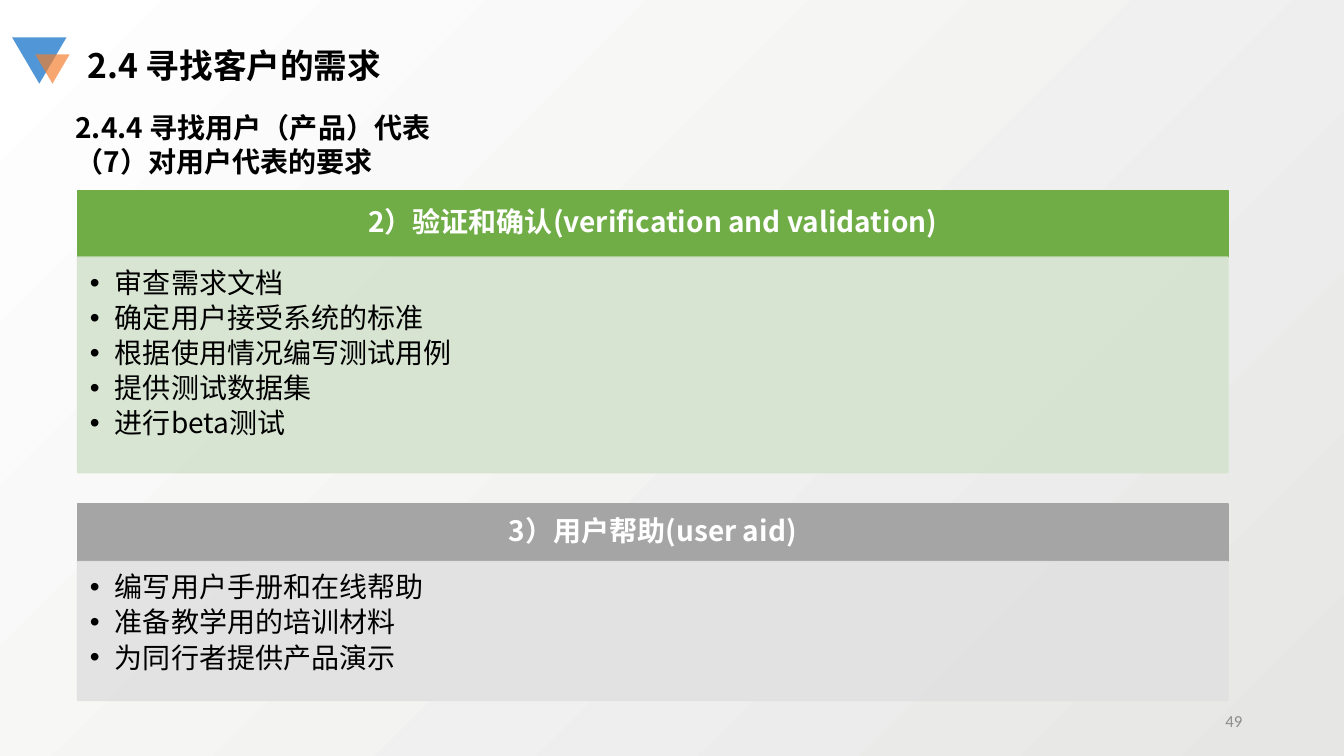
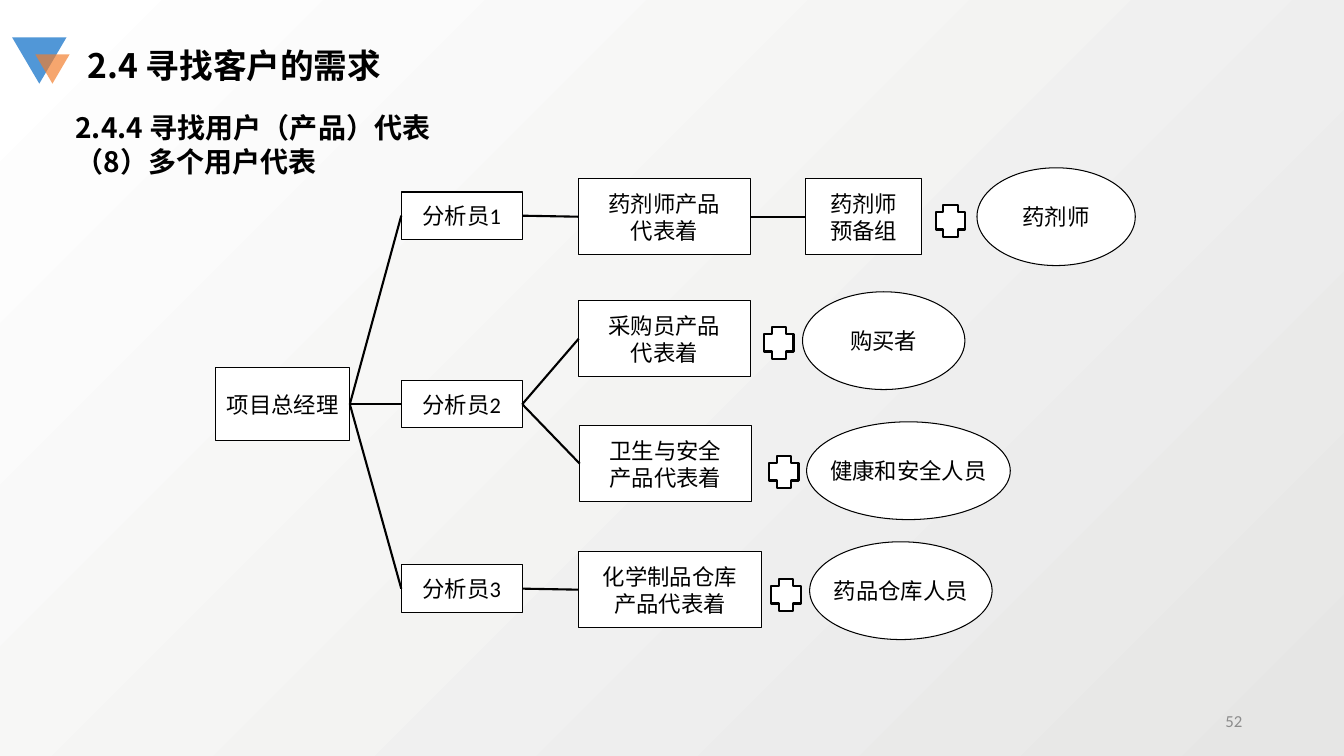
import dataclasses

import pptx
import pptx.dml.color
import pptx.enum.shapes
import pptx.enum.text
import pptx.oxml.ns
import pptx.util
from lxml import etree

Inches, Pt = pptx.util.Inches, pptx.util.Pt
SHAPE = pptx.enum.shapes.MSO_SHAPE
ALIGN = pptx.enum.text.PP_ALIGN
ANCHOR = pptx.enum.text.MSO_ANCHOR
qn = pptx.oxml.ns.qn


@dataclasses.dataclass(frozen=True)
class Theme:
    black: str = "000000"
    white: str = "FFFFFF"
    shade: str = "E6E6E5"
    number: str = "8C8C8C"
    blue: str = "5197D7"
    orange: str = "F37D2A"
    green: str = "70AD47"
    pale_green: str = "D5E3CF"
    gray: str = "A5A5A5"
    pale_gray: str = "E1E1E1"
    font: str = "Noto Sans CJK SC"
    node_font: str = "Calibri"
    title_size: int = 24
    body_size: int = 20
    node_size: int = 16
    number_size: int = 12


T = Theme()

TITLE = "2.4 寻找客户的需求"
SECTION = "2.4.4 寻找用户（产品）代表"

PANEL_LEFT, PANEL_WIDTH = 0.77, 11.41
PANELS = [
    dict(heading="2）验证和确认(verification and validation)",
         items=["审查需求文档", "确定用户接受系统的标准", "根据使用情况编写测试用例",
                "提供测试数据集", "进行beta测试"],
         top=1.89, head=0.66, body=2.14, dark=T.green, pale=T.pale_green),
    dict(heading="3）用户帮助(user aid)",
         items=["编写用户手册和在线帮助", "准备教学用的培训材料", "为同行者提供产品演示"],
         top=5, head=0.57, body=1.38, dark=T.gray, pale=T.pale_gray),
]

KINDS = {
    "manager": (SHAPE.RECTANGLE, 0.72),
    "analyst": (SHAPE.RECTANGLE, 0.47),
    "rep": (SHAPE.RECTANGLE, 0.76),
    "user": (SHAPE.OVAL, 0.97),
}
NODES = {
    "manager": ("manager", 2.14, 4.01, 1.33, ["项目总经理"]),
    "analyst1": ("analyst", 3.98, 2.14, 1.2, ["分析员1"]),
    "analyst2": ("analyst", 3.98, 4.01, 1.2, ["分析员2"]),
    "analyst3": ("analyst", 3.98, 5.84, 1.2, ["分析员3"]),
    "pharmacy": ("rep", 5.74, 2.15, 1.7, ["药剂师产品", "代表着"]),
    "buying": ("rep", 5.74, 3.36, 1.7, ["采购员产品", "代表着"]),
    "safety": ("rep", 5.75, 4.6, 1.7, ["卫生与安全", "产品代表着"]),
    "store": ("rep", 5.74, 5.85, 1.81, ["化学制品仓库", "产品代表着"]),
    "reserve": ("rep", 7.99, 2.15, 1.15, ["药剂师", "预备组"]),
    "pharmacist": ("user", 9.69, 2.15, 1.57, ["药剂师"]),
    "buyer": ("user", 7.96, 3.38, 1.61, ["购买者"]),
    "safety staff": ("user", 8, 4.67, 2.02, ["健康和安全人员"]),
    "store staff": ("user", 8.03, 5.86, 1.81, ["药品仓库人员"]),
}
LINKS = [
    ("manager", "analyst1"), ("manager", "analyst2"), ("manager", "analyst3"),
    ("analyst1", "pharmacy"), ("analyst2", "buying"), ("analyst2", "safety"),
    ("analyst3", "store"), ("pharmacy", "reserve"),
]
PLUS_SIGNS = [(9.28, 2.03), (7.58, 3.24), (7.63, 4.52), (7.65, 5.74)]


def rgb(color):
    return pptx.dml.color.RGBColor.from_string(color)


def write(tf, lines, size=T.body_size, color=T.black, font=T.font, bold=False,
          align=ALIGN.LEFT, anchor=ANCHOR.TOP, wrap=True, insets=None,
          bullet=False, spacing=None, after=None):
    tf.word_wrap = wrap
    tf.auto_size = pptx.enum.text.MSO_AUTO_SIZE.NONE
    tf.vertical_anchor = anchor
    if insets:
        tf.margin_left, tf.margin_top, tf.margin_right, tf.margin_bottom = map(Inches, insets)
    for i, line in enumerate(lines):
        p = tf.add_paragraph() if i else tf.paragraphs[0]
        p.alignment = align
        if bullet:
            pPr = p._p.get_or_add_pPr()
            pPr.set("marL", str(Inches(0.25)))
            pPr.set("indent", str(Inches(-0.25)))
            etree.SubElement(pPr, qn("a:buFont"), typeface="Arial")
            etree.SubElement(pPr, qn("a:buChar"), char="•")
        if spacing:
            p.line_spacing = spacing
        if after:
            p.space_after = Pt(after)
        r = p.add_run()
        r.text = line
        r.font.size, r.font.bold = Pt(size), bold
        r.font.color.rgb = rgb(color)
        r.font.name = font
        etree.SubElement(r._r.get_or_add_rPr(), qn("a:ea"), typeface=T.font)


def add_text(s, box, lines, **style):
    tb = s.shapes.add_textbox(*map(Inches, box))
    write(tb.text_frame, lines, **style)


def add_shape(s, kind, box, fill, line=None, width=1, alpha=None):
    sp = s.shapes.add_shape(kind, *map(Inches, box))
    sp.shadow.inherit = False
    sp.fill.solid()
    sp.fill.fore_color.rgb = rgb(fill)
    if line:
        sp.line.color.rgb = rgb(line)
        sp.line.width = Pt(width)
    else:
        sp.line.fill.background()
    if alpha:
        for clr in sp._element.spPr.iter(qn("a:srgbClr")):
            etree.SubElement(clr, qn("a:alpha"), val=str(alpha * 1000))
    return sp


def add_link(s, start, end):
    c = s.shapes.add_connector(pptx.enum.shapes.MSO_CONNECTOR.STRAIGHT, 0, 0, 0, 0)
    c.begin_connect(start, 3)
    c.end_connect(end, 1)
    c.line.color.rgb = rgb(T.black)
    c.line.width = Pt(1.5)
    etree.SubElement(c._element.spPr, qn("a:effectLst"))


def set_background(master):
    fill = master.background.fill
    fill.gradient()
    fill.gradient_angle = 135
    for stop, color, position in zip(fill.gradient_stops, (T.shade, T.white), (0, 1)):
        stop.color.rgb = rgb(color)
        stop.position = position


def add_slide(prs, topic, number):
    s = prs.slides.add_slide(prs.slide_layouts[5])
    for box, color, alpha in [((0.12, 0.37, 0.54, 0.46), T.blue, None),
                              ((0.35, 0.54, 0.34, 0.29), T.orange, 68)]:
        add_shape(s, SHAPE.ISOSCELES_TRIANGLE, box, color, alpha=alpha).rotation = 180
    title = s.shapes.title
    title.left, title.top, title.width, title.height = map(Inches, (0.77, 0.4, 4.69, 0.5))
    write(title.text_frame, [TITLE], size=T.title_size, bold=True)
    add_text(s, (0.65, 1.05, 9.19, 0.77), [SECTION, topic], bold=True)
    add_text(s, (9.42, 6.95, 3, 0.4), [number], size=T.number_size, color=T.number,
             font=T.node_font, align=ALIGN.RIGHT, anchor=ANCHOR.MIDDLE)
    return s


def add_panel(s, heading, items, top, head, body, dark, pale):
    head_box = (PANEL_LEFT, top, PANEL_WIDTH, head)
    body_box = (PANEL_LEFT, top + head, PANEL_WIDTH, body)
    sp = add_shape(s, SHAPE.RECTANGLE, head_box, dark, line=dark)
    write(sp.text_frame, [heading], color=T.white, bold=True, align=ALIGN.CENTER,
          anchor=ANCHOR.MIDDLE, insets=(0.16, 0.09, 0.16, 0.09), spacing=0.9)
    sp = add_shape(s, SHAPE.RECTANGLE, body_box, pale, line=pale, alpha=90)
    write(sp.text_frame, items, insets=(0.12, 0.12, 0.16, 0.17), bullet=True,
          spacing=0.9, after=3.5)


def add_diagram(s):
    shapes = {}
    for name, (kind, left, middle, width, lines) in NODES.items():
        preset, height = KINDS[kind]
        sp = add_shape(s, preset, (left, middle - height / 2, width, height),
                       T.white, line=T.black, width=0.75)
        write(sp.text_frame, lines, size=T.node_size, font=T.node_font,
              align=ALIGN.CENTER, anchor=ANCHOR.MIDDLE, wrap=False)
        shapes[name] = sp
    for start, end in LINKS:
        add_link(s, shapes[start], shapes[end])
    for left, top in PLUS_SIGNS:
        add_shape(s, SHAPE.CROSS, (left, top, 0.29, 0.32), T.white, line=T.black, width=1.5)


def main():
    prs = pptx.Presentation()
    prs.slide_width, prs.slide_height = Inches(13.33), Inches(7.5)
    set_background(prs.slide_master)
    s = add_slide(prs, "（7）对用户代表的要求", "49")
    for panel in PANELS:
        add_panel(s, **panel)
    add_diagram(add_slide(prs, "（8）多个用户代表", "52"))
    prs.save("out.pptx")


if __name__ == "__main__":
    main()
